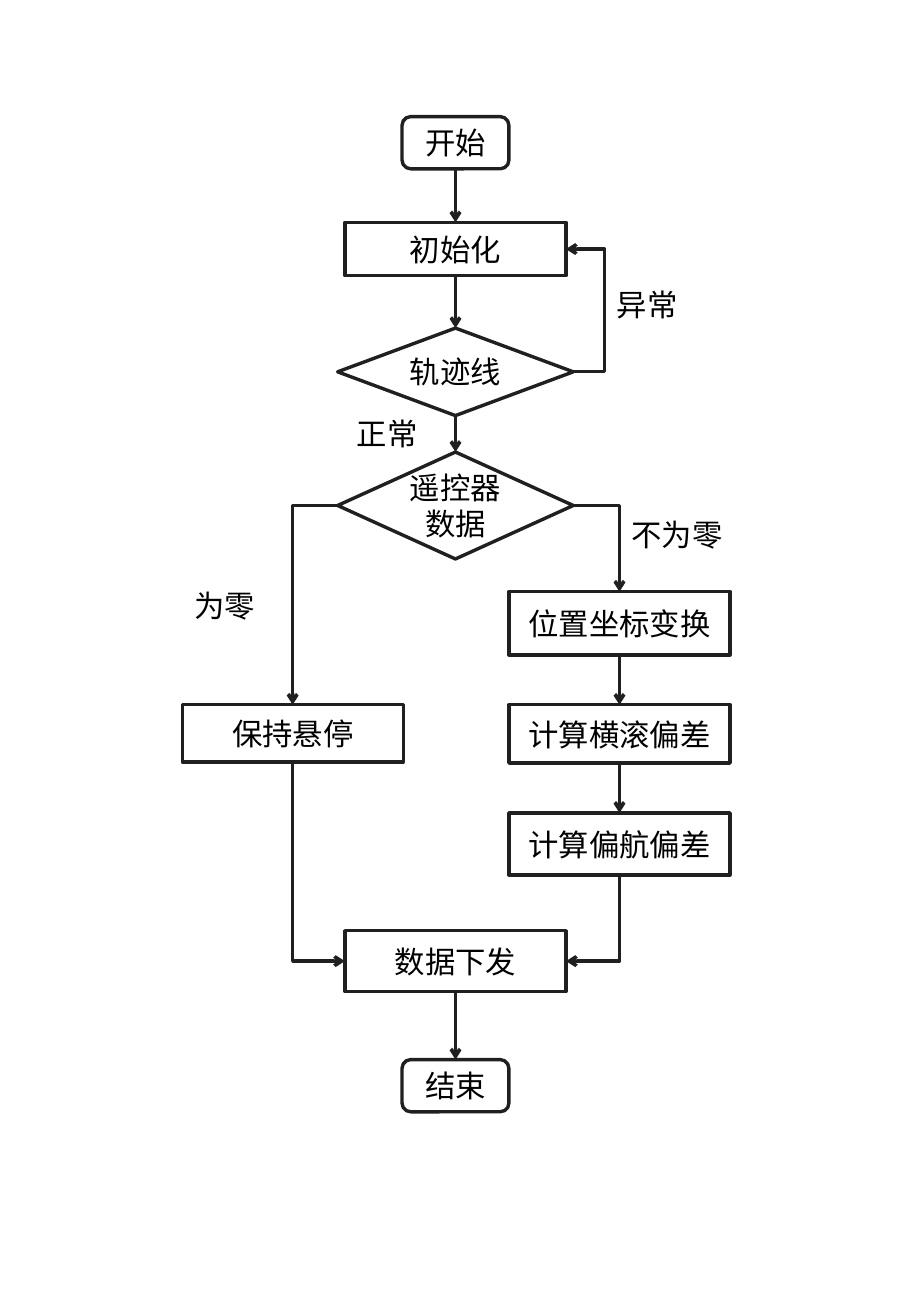
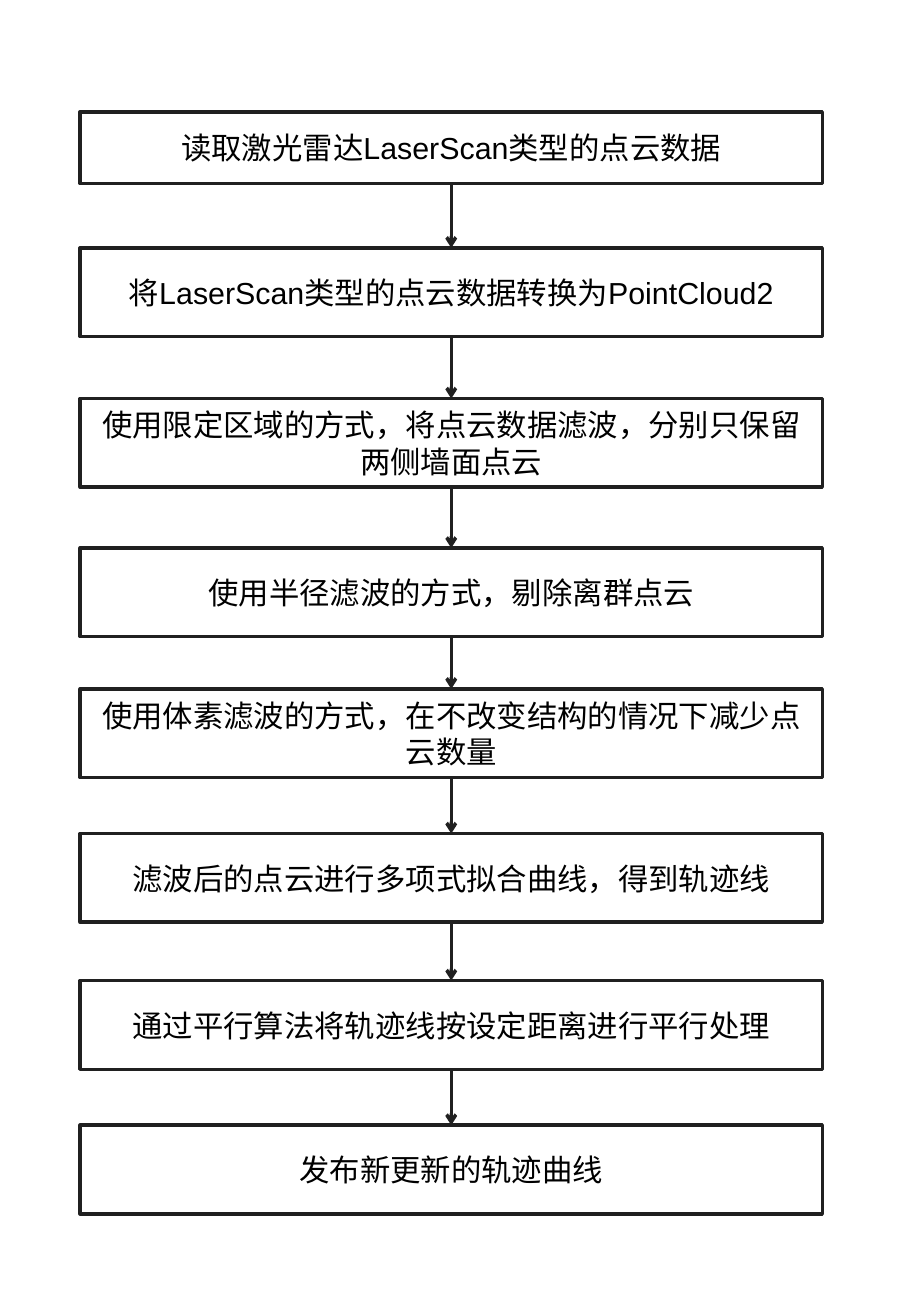
from lxml.etree import SubElement
from pptx import Presentation
from pptx.dml.color import RGBColor
from pptx.enum.shapes import MSO_CONNECTOR as CONN, MSO_SHAPE as SHAPE
from pptx.enum.text import MSO_ANCHOR, MSO_AUTO_SIZE, PP_ALIGN
from pptx.oxml.ns import qn
from pptx.util import Pt

PX = 9144
COLORS = {"line": "202020", "text": "000000"}
FONT, SIZE, LINE = "Arial", Pt(18), Pt(2)
TOP, LEFT, BOTTOM, RIGHT = range(4)


def add_text(s, text, x, y, w, h, kind=None):
    pos = [v * PX for v in (x, y, w, h)]
    if kind is None:
        sp = s.shapes.add_textbox(*pos)
        sp.text_frame.auto_size = MSO_AUTO_SIZE.SHAPE_TO_FIT_TEXT
    else:
        sp = s.shapes.add_shape(kind, *pos)
        sp.shadow.inherit = False
        sp.fill.background()
        sp.line.color.rgb = RGBColor.from_string(COLORS["line"])
        sp.line.width = LINE
        sp.text_frame.vertical_anchor = MSO_ANCHOR.MIDDLE
    tf = sp.text_frame
    tf.word_wrap = True
    p = tf.paragraphs[0]
    p.text = text
    p.alignment = PP_ALIGN.LEFT if kind is None else PP_ALIGN.CENTER
    p.font.name, p.font.size = FONT, SIZE
    p.font.color.rgb = RGBColor.from_string(COLORS["text"])
    return sp


def add_arrow(s, start, start_site, end, end_site, kind=CONN.STRAIGHT):
    c = s.shapes.add_connector(kind, 0, 0, 0, 0)
    c.begin_connect(start, start_site)
    c.end_connect(end, end_site)
    c.line.color.rgb = RGBColor.from_string(COLORS["line"])
    c.line.width = LINE
    spPr = c.element.spPr
    SubElement(spPr.find(qn("a:ln")), qn("a:tailEnd"), type="arrow")
    SubElement(spPr, qn("a:effectLst"))
    return c


prs = Presentation()
prs.slide_width, prs.slide_height = 750 * PX, 1083 * PX

s = prs.slides.add_slide(prs.slide_layouts[6])
MID_X, LEFT_X, RIGHT_X = 375, 241, 510
steps = [
    ("开始", SHAPE.ROUNDED_RECTANGLE, MID_X, 96, 88, 43),
    ("初始化", SHAPE.RECTANGLE, MID_X, 183, 182, 44),
    ("轨迹线", SHAPE.DIAMOND, MID_X, 270, 194, 72),
    ("遥控器数据", SHAPE.DIAMOND, MID_X, 372, 194, 88),
    ("保持悬停", SHAPE.RECTANGLE, LEFT_X, 580, 182, 47),
    ("位置坐标变换", SHAPE.RECTANGLE, RIGHT_X, 487, 182, 52),
    ("计算横滚偏差", SHAPE.RECTANGLE, RIGHT_X, 580, 182, 48),
    ("计算偏航偏差", SHAPE.RECTANGLE, RIGHT_X, 669, 182, 51),
    ("数据下发", SHAPE.RECTANGLE, MID_X, 766, 182, 50),
    ("结束", SHAPE.ROUNDED_RECTANGLE, MID_X, 872, 88, 43),
]
boxes = [add_text(s, text, cx - w // 2, y, w, h, kind) for text, kind, cx, y, w, h in steps]
start, init, track, remote, hover, transform, roll, yaw, send, end = boxes

for a, b in [(start, init), (init, track), (track, remote),
             (transform, roll), (roll, yaw), (send, end)]:
    add_arrow(s, a, BOTTOM, b, TOP)

retry = add_arrow(s, track, RIGHT, init, RIGHT, CONN.ELBOW)
SubElement(retry.element.spPr.find(qn("a:prstGeom")).find(qn("a:avLst")), qn("a:gd"),
           name="adj1", fmla="val -433333")

for a, a_site, b, b_site in [(remote, RIGHT, transform, TOP), (remote, LEFT, hover, TOP),
                             (hover, BOTTOM, send, LEFT), (yaw, BOTTOM, send, RIGHT)]:
    c = add_arrow(s, a, a_site, b, b_site, CONN.ELBOW)
    c.element.spPr.find(qn("a:prstGeom")).set("prst", "bentConnector2")
    if a_site == BOTTOM:
        x, y, w, h = c.left, c.top, c.width, c.height
        c.left, c.top = x + (w - h) // 2, y + (h - w) // 2
        c.width, c.height = h, w
        xfrm = c.element.spPr.find(qn("a:xfrm"))
        xfrm.set("rot", "5400000")
        xfrm.set("flipH", "0")
        xfrm.set("flipV", "1" if b_site == LEFT else "0")

for text, x, y, w in [("为零", 150, 478, 72), ("不为零", 510, 420, 102),
                      ("正常", 284, 337, 72), ("异常", 498, 231, 72)]:
    add_text(s, text, x, y, w, 40)

s = prs.slides.add_slide(prs.slide_layouts[6])
stages = [
    ("读取激光雷达LaserScan类型的点云数据", 92, 59),
    ("将LaserScan类型的点云数据转换为PointCloud2", 204, 73),
    ("使用限定区域的方式，将点云数据滤波，分别只保留两侧墙面点云", 328, 73),
    ("使用半径滤波的方式，剔除离群点云", 451, 73),
    ("使用体素滤波的方式，在不改变结构的情况下减少点云数量", 567, 73),
    ("滤波后的点云进行多项式拟合曲线，得到轨迹线", 686, 73),
    ("通过平行算法将轨迹线按设定距离进行平行处理", 807, 73),
    ("发布新更新的轨迹曲线", 926, 73),
]
boxes = [add_text(s, text, 66, y, 611, h, SHAPE.RECTANGLE) for text, y, h in stages]
for a, b in zip(boxes, boxes[1:]):
    add_arrow(s, a, BOTTOM, b, TOP)

prs.save("out.pptx")
